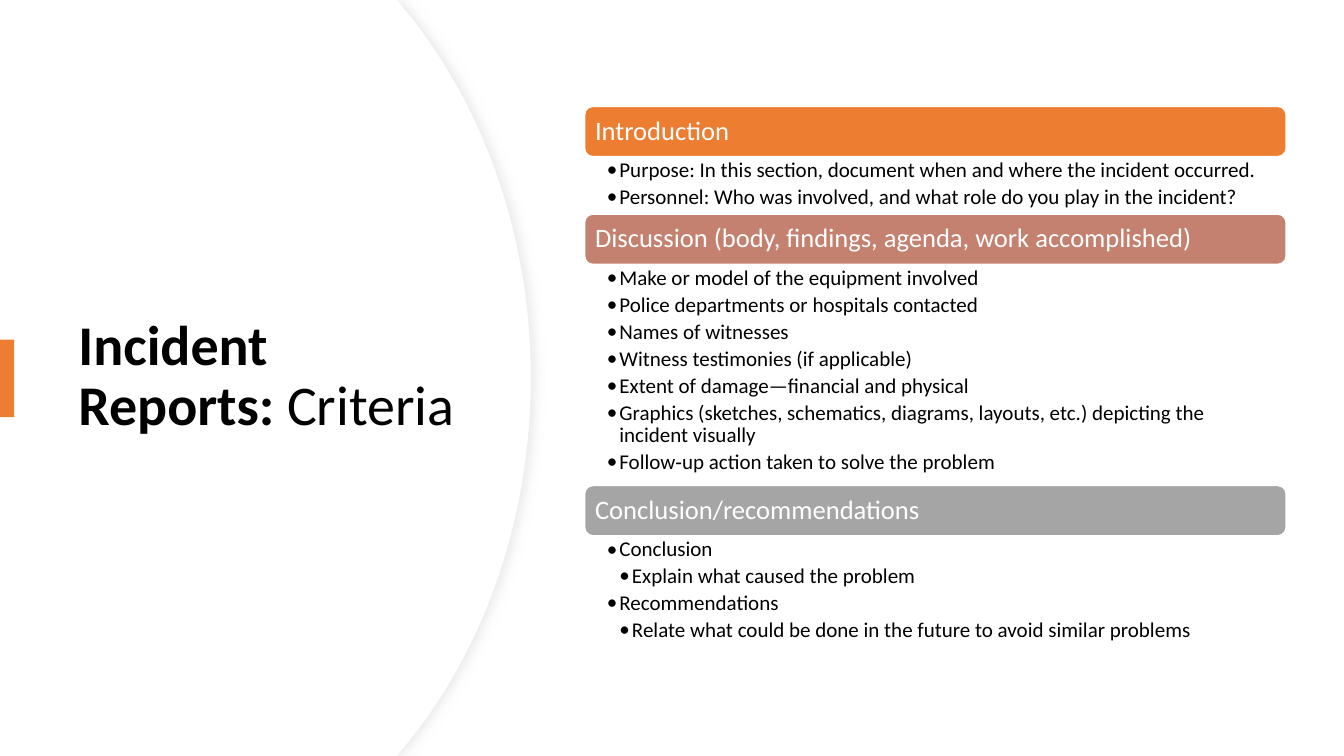
from dataclasses import dataclass

from lxml import etree
from pptx import Presentation, util as u
from pptx.dml.color import RGBColor
from pptx.enum import shapes, text
from pptx.oxml.ns import qn

FONT = "Calibri"
WHITE = RGBColor(0xFF, 0xFF, 0xFF)
BLACK = RGBColor(0, 0, 0)
ORANGE = RGBColor(0xED, 0x7D, 0x31)
ROSE = RGBColor(0xC4, 0x81, 0x70)
GRAY = RGBColor(0xA5, 0xA5, 0xA5)
EDGE = RGBColor(0xEF, 0xEF, 0xEF)
SHADOW = RGBColor(0xD9, 0xD9, 0xD9)

prs = Presentation()
prs.slide_width, prs.slide_height = u.Inches(13.33), u.Inches(7.5)
slide = prs.slides.add_slide(prs.slide_layouts[6])


def col(percent: float) -> int:
    """Share of the slide width."""
    return round(prs.slide_width * percent / 100)


def row(percent: float) -> int:
    """Share of the slide height."""
    return round(prs.slide_height * percent / 100)


@dataclass
class Bullet:
    text: str
    level: int = 1


@dataclass
class Section:
    heading: str
    color: RGBColor
    body_height: float  # percent of the slide height
    bullets: list[Bullet]


SECTIONS = [
    Section("Introduction", ORANGE, 7.6, [
        Bullet("Purpose: In this section, document when and where the incident occurred."),
        Bullet("Personnel: Who was involved, and what role do you play in the incident?"),
    ]),
    Section("Discussion (body, findings, agenda, work accomplished)", ROSE, 29.25, [
        Bullet("Make or model of the equipment involved"),
        Bullet("Police departments or hospitals contacted"),
        Bullet("Names of witnesses"),
        Bullet("Witness testimonies (if applicable)"),
        Bullet("Extent of damage—financial and physical"),
        Bullet("Graphics (sketches, schematics, diagrams, layouts, etc.) "
               "depicting the incident visually"),
        Bullet("Follow‐up action taken to solve the problem"),
    ]),
    Section("Conclusion/recommendations", GRAY, 15.2, [
        Bullet("Conclusion"),
        Bullet("Explain what caused the problem", 2),
        Bullet("Recommendations"),
        Bullet("Relate what could be done in the future to avoid similar problems", 2),
    ]),
]
LEFT, WIDTH, TOP, BANNER = 43.5, 52.2, 14.07, 6.65

# Upper half of the panel's edge: a corner, then Bezier control points, in percent
UPPER = [(29.56, 0), (30.08, 1.07), (35.93, 13.6), (39.53, 30.93), (39.53, 50)]
CURVES = [slice(2, 5), slice(5, 8)]  # edge points that form each curve


def add_panel(shift: float):
    lower = [(x, 100 - y) for x, y in reversed(UPPER[:-1])]
    edge = [(col(x - shift if 0 < y < 100 else x), row(y)) for x, y in UPPER + lower]
    fb = slide.shapes.build_freeform(0, 0)
    fb.add_line_segments(edge + [(0, row(100))], close=True)
    sp = fb.convert_to_shape()
    segments = list(sp._element.iter(qn("a:lnTo")))
    for part in CURVES:
        first, *others = segments[part]
        first.tag = qn("a:cubicBezTo")
        for segment in others:
            first.append(segment[0])
            segment.getparent().remove(segment)
    sp.shadow.inherit = False
    sp.fill.solid()
    sp.fill.fore_color.rgb = WHITE
    sp.line.fill.background()
    return sp


def add_box(kind: shapes.MSO_SHAPE, x: float, y: float, w: float, h: float,
            color: RGBColor):
    sp = slide.shapes.add_shape(kind, col(x), row(y), col(w), row(h))
    sp.shadow.inherit = False
    sp.fill.solid()
    sp.fill.fore_color.rgb = color
    sp.line.fill.background()
    return sp


def set_frame(tf, anchor: text.MSO_ANCHOR, insets: tuple[float, ...]) -> None:
    tf.word_wrap = True
    tf.vertical_anchor = anchor
    tf.margin_left, tf.margin_top, tf.margin_right, tf.margin_bottom = map(u.Inches, insets)


def set_paragraph(p, size: float, color: RGBColor) -> None:
    p.alignment = text.PP_ALIGN.LEFT
    p.line_spacing = 0.9
    p.font.name, p.font.size = FONT, u.Pt(size)
    p.font.color.rgb = color


def add_section(section: Section, y: float) -> None:
    # Banner
    sp = add_box(shapes.MSO_SHAPE.ROUNDED_RECTANGLE, LEFT, y, WIDTH, BANNER, section.color)
    sp.line.color.rgb, sp.line.width = WHITE, u.Pt(1)
    set_frame(sp.text_frame, text.MSO_ANCHOR.MIDDLE, (0.08, 0.08, 0.08, 0.08))
    p = sp.text_frame.paragraphs[0]
    p.text = section.heading
    set_paragraph(p, 19, WHITE)

    # Bullets
    tf = slide.shapes.add_textbox(col(LEFT), row(y + BANNER), col(WIDTH),
                                  row(section.body_height)).text_frame
    set_frame(tf, text.MSO_ANCHOR.TOP, (0.22, 0.03, 0.15, 0.03))
    for i, bullet in enumerate(section.bullets):
        p = tf.add_paragraph() if i else tf.paragraphs[0]
        p.text, p.level = bullet.text, bullet.level
        set_paragraph(p, 15, BLACK)
        p.space_after = u.Pt(3)
        ppr = p._p.get_or_add_pPr()
        ppr.set("marL", str(u.Inches(0.125 * bullet.level)))
        ppr.set("indent", str(-u.Inches(0.125)))
        defaults = ppr.find(qn("a:defRPr"))
        defaults.addprevious(etree.Element(qn("a:buFont"), typeface=FONT))
        defaults.addprevious(etree.Element(qn("a:buChar"), char="•"))


# Curved panel: an outlined layer with a soft shadow, then a plain one
sp = add_panel(0)
sp.line.color.rgb, sp.line.width = EDGE, u.Pt(0.75)
effects = sp._element.spPr.find(qn("a:effectLst"))
outer = etree.SubElement(effects, qn("a:outerShdw"), blurRad=str(u.Pt(7)),
                         dist=str(u.Pt(3)), dir="0", algn="l", rotWithShape="0")
tint = etree.SubElement(outer, qn("a:srgbClr"), val=str(SHADOW))
etree.SubElement(tint, qn("a:alpha"), val="50000")
add_panel(0.07)

# Title and accent bar
tf = slide.shapes.add_textbox(col(5.1), row(16.93), col(29.56), row(66)).text_frame
set_frame(tf, text.MSO_ANCHOR.MIDDLE, (0.1, 0.05, 0.1, 0.05))
p = tf.paragraphs[0]
set_paragraph(p, 40, BLACK)
for words, bold in [("Incident Reports: ", True), ("Criteria", False)]:
    r = p.add_run()
    r.text, r.font.bold = words, bold
add_box(shapes.MSO_SHAPE.RECTANGLE, 0, 44.93, 1.05, 10.27, ORANGE)

# Sections, stacked
y = TOP
for section in SECTIONS:
    add_section(section, y)
    y += BANNER + section.body_height

prs.save("out.pptx")
